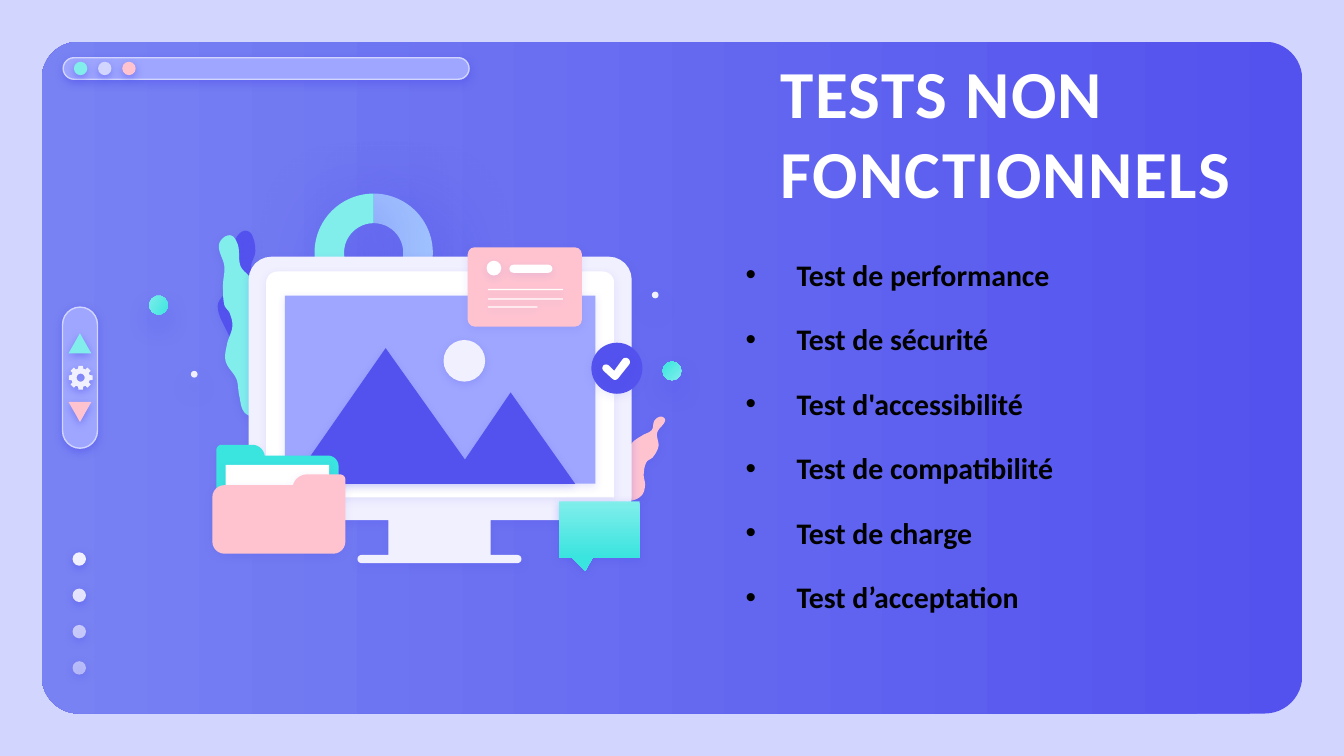
from dataclasses import dataclass
from math import cos, dist, radians, sin

from lxml.etree import SubElement
from pptx import Presentation
from pptx.dml.color import RGBColor
from pptx.enum.shapes import MSO_SHAPE as Shape
from pptx.enum.text import MSO_ANCHOR as Anchor
from pptx.oxml.ns import qn
from pptx.util import Inches, Pt


@dataclass(frozen=True)
class Theme:
    font: str = "Calibri"
    title_size: float = 36
    list_size: float = 16
    lilac: str = "D2D6FF"
    indigo: str = "5352EE"
    violet: str = "7882F3"
    periwinkle: str = "9EA6FF"
    sky: str = "A1C3FF"
    aqua: str = "81EEEB"
    teal: str = "3AE4DF"
    pink: str = "FFC3D0"
    mist: str = "F1F0FF"
    white: str = "FFFFFF"
    black: str = "000000"


# Shadows: opacity %, blur pt, distance pt, angle
def soft(opacity):
    return opacity, 4.5, 1.5, 90


FLOATING = (38, 12.4, 6.8, 90)
HALO = (67, 38.2, 9, 49)


def bezier(a, b, c, d, steps=6):
    for i in range(1, steps + 1):
        t = i / steps
        weights = (1 - t) ** 3, 3 * t * (1 - t) ** 2, 3 * t * t * (1 - t), t ** 3
        yield tuple(sum(w * p[axis] for w, p in zip(weights, (a, b, c, d))) for axis in (0, 1))


def shift(point, start, end, length):
    """Move the point by a length along the direction from start to end."""
    share = length / dist(start, end)
    return tuple(point[axis] + (end[axis] - start[axis]) * share for axis in (0, 1))


def rounded(corners):
    """Polygon whose corners are (x, y) or (x, y, radius)."""
    outline = []
    for i, (x, y, *radius) in enumerate(corners):
        corner = (x, y)
        if not radius:
            outline.append(corner)
            continue
        sides = corners[i - 1][:2], corners[(i + 1) % len(corners)][:2]
        ends = [shift(corner, corner, side, radius[0]) for side in sides]
        pulls = [shift(corner, corner, side, radius[0] * 0.45) for side in sides]
        outline += [ends[0], *bezier(ends[0], *pulls, ends[1])]
    return outline


def wavy(knots):
    """Closed smooth curve through the knots."""
    outline, count = [], len(knots)
    for i in range(count):
        a, b, c, d = (knots[(i + k) % count] for k in (-1, 0, 1, 2))
        reach = dist(b, c) / 3
        outline += bezier(b, shift(b, a, c, reach), shift(c, d, b, reach), c)
    return outline


def polar(center, radius, degrees):
    return center[0] + radius * cos(radians(degrees)), center[1] + radius * sin(radians(degrees))


def add_text(paragraph, text, *, font, size, color, bold=True, spacing=None):
    run = paragraph.add_run()
    run.text = text
    run.font.name, run.font.size, run.font.bold = font, Pt(size), bold
    run.font.color.rgb = RGBColor.from_string(color)
    if spacing:
        run._r.get_or_add_rPr().set("spc", str(round(spacing * 100)))


class Canvas:
    def __init__(self, slide, theme):
        self.slide, self.theme = slide, theme
        slide.background.fill.solid()
        slide.background.fill.fore_color.rgb = RGBColor.from_string(theme.lilac)

    def paint(self, part, fill, line=None, shadow=None, opacity=None):
        if isinstance(fill, tuple):
            *colors, angle = fill
            part.fill.gradient()
            part.fill.gradient_angle = (360 - angle) % 360
            for stop, color in zip(part.fill.gradient_stops, colors):
                stop.color.rgb = RGBColor.from_string(color)
        else:
            part.fill.solid()
            part.fill.fore_color.rgb = RGBColor.from_string(fill)
        if opacity:
            color = part._element.spPr.find(".//" + qn("a:srgbClr"))
            SubElement(color, qn("a:alpha"), val=str(opacity * 1000))
        if line:
            part.line.color.rgb = RGBColor.from_string(line)
            part.line.width = Pt(0.75)
        else:
            part.line.fill.background()
        part.shadow.inherit = False
        if shadow:
            strength, blur, distance, angle = shadow
            effects = part._element.spPr.find(qn("a:effectLst"))
            outer = SubElement(effects, qn("a:outerShdw"), blurRad=str(Pt(blur)), dist=str(Pt(distance)),
                               dir=str(angle * 60000), algn="bl", rotWithShape="0")
            color = SubElement(outer, qn("a:srgbClr"), val=self.theme.indigo)
            SubElement(color, qn("a:alpha"), val=str(strength * 1000))

    def preset(self, kind, box, fill, adjust=(), rotation=0, **style):
        part = self.slide.shapes.add_shape(kind, *map(Inches, box))
        for i, value in enumerate(adjust):
            part.adjustments[i] = value
        part.rotation = rotation
        self.paint(part, fill, **style)

    def dot(self, left, top, size, fill, **style):
        self.preset(Shape.OVAL, (left, top, size, size), fill, **style)

    def outline(self, fill, *contours, **style):
        builder = None
        for contour in contours:
            start, *rest = [(Inches(x), Inches(y)) for x, y in contour]
            if builder is None:
                builder = self.slide.shapes.build_freeform(*start)
            else:
                builder.move_to(*start)
            builder.add_line_segments(rest, close=True)
        self.paint(builder.convert_to_shape(), fill, **style)

    def frame(self, box, inset=None, anchor=Anchor.TOP):
        frame = self.slide.shapes.add_textbox(*map(Inches, box)).text_frame
        frame.word_wrap, frame.vertical_anchor = True, anchor
        if inset:
            frame.margin_left = frame.margin_right = frame.margin_top = frame.margin_bottom = Inches(inset)
        return frame

    def bullets(self, box, items):
        frame = self.frame(box)
        for i, item in enumerate(items):
            paragraph = frame.paragraphs[0] if i == 0 else frame.add_paragraph()
            props = paragraph._p.get_or_add_pPr()
            props.set("marL", str(Inches(0.38)))
            props.set("indent", str(-Inches(0.38)))
            SubElement(SubElement(props, qn("a:buClr")), qn("a:srgbClr"), val=self.theme.black)
            SubElement(props, qn("a:buFont"), typeface="Arial")
            SubElement(props, qn("a:buChar"), char="•")
            paragraph.line_spacing = 1.15
            paragraph.space_before, paragraph.space_after = Pt(5 if i else 0), Pt(7.5)
            add_text(paragraph, item, font=self.theme.font, size=self.theme.list_size, color=self.theme.black)


def draw_window(canvas, t):
    # Panel, address bar and page dots
    canvas.preset(Shape.ROUNDED_RECTANGLE, (0.31, 0.31, 9.38, 5), (t.indigo, t.violet, 180), [0.056])
    bar = dict(fill=t.periwinkle, adjust=[0.5], line=t.lilac, shadow=soft(50))
    canvas.preset(Shape.ROUNDED_RECTANGLE, (0.47, 0.43, 3.02, 0.16), **bar)
    for i, color in enumerate((t.aqua, t.lilac, t.pink)):
        canvas.dot(0.55 + 0.18 * i, 0.46, 0.1, color, shadow=soft(50))
    for i, opacity in enumerate((100, 90, 67, 54)):
        canvas.dot(0.54, 4.11 + 0.27 * i, 0.1, t.mist, opacity=opacity, shadow=soft(50))
    # Side control with arrows and gear
    canvas.preset(Shape.ROUNDED_RECTANGLE, (0.07, 2.68, 1.05, 0.26), rotation=90, **bar)
    for top, color, turn in ((2.48, t.aqua, 0), (2.99, t.pink, 180)):
        canvas.preset(Shape.ISOSCELES_TRIANGLE, (0.51, top, 0.17, 0.15), color, rotation=turn, shadow=soft(50))
    hub = (0.6, 2.81)
    teeth = [polar(hub, radius, 45 * k + turn) for k in range(8)
             for radius, turn in ((0.07, -15), (0.09, -11), (0.09, 11), (0.07, 15))]
    hole = [polar(hub, 0.03, -20 * k) for k in range(18)]
    canvas.outline(t.mist, teeth, hole, shadow=soft(52))


def draw_illustration(canvas, t):
    # Ring and leaves behind the screen
    for turn, color in ((90, t.sky), (270, t.aqua)):
        canvas.preset(Shape.BLOCK_ARC, (2.34, 1.44, 0.88, 0.88), color, [108, 0, 0.25], turn, shadow=HALO)
    leaves = (
        (t.pink, 22, [(4.92, 3.1), (4.95, 3.13), (4.89, 3.22), (4.9, 3.32), (4.86, 3.4), (4.81, 3.44),
                      (4.79, 3.53), (4.8, 3.61), (4.78, 3.68), (4.72, 3.72), (4.66, 3.72), (4.55, 3.63),
                      (4.61, 3.44), (4.66, 3.4), (4.7, 3.3), (4.78, 3.24), (4.85, 3.2), (4.87, 3.13)]),
        (t.indigo, 18, [(1.81, 1.72), (1.87, 1.74), (1.9, 1.87), (1.87, 1.99), (1.94, 2.12), (1.98, 2.17),
                        (2.01, 2.31), (1.97, 2.39), (2.02, 2.53), (2.09, 2.65), (2.05, 2.79), (2.01, 2.92),
                        (1.98, 3.03), (1.91, 3.03), (1.79, 2.94), (1.79, 2.8), (1.79, 2.7), (1.71, 2.51),
                        (1.62, 2.28), (1.7, 2.15), (1.77, 2), (1.76, 1.9), (1.75, 1.79)]),
        (t.aqua, 18, [(1.71, 1.75), (1.77, 1.82), (1.79, 1.98), (1.87, 2.08), (1.91, 2.27),
                      (1.96, 2.45), (2.04, 2.63), (2.01, 2.71), (1.98, 2.85), (2.01, 2.92), (2.02, 3.02),
                      (1.99, 3.09), (1.93, 3.11), (1.82, 3.07), (1.78, 2.94), (1.76, 2.82), (1.68, 2.69),
                      (1.69, 2.56), (1.73, 2.43), (1.71, 2.33), (1.67, 2.27), (1.66, 2.12), (1.67, 1.98),
                      (1.63, 1.82)]),
    )
    for color, strength, knots in leaves:
        canvas.outline(color, wavy(knots), shadow=soft(strength))
    # Floating bubbles
    for left, top, turn in ((1.11, 2.2, 255), (4.93, 2.69, 90)):
        canvas.dot(left, top, 0.14, (t.aqua, t.teal, 135), rotation=turn, shadow=FLOATING)
    for left, top in ((1.42, 2.76), (4.85, 2.17)):
        canvas.dot(left, top, 0.05, t.mist, shadow=FLOATING)
    # Monitor
    canvas.outline(t.mist, rounded([
        (1.85, 1.91, 0.17), (4.7, 1.91, 0.17), (4.7, 3.87, 0.17), (3.65, 3.87), (3.65, 4.13), (3.88, 4.13, 0.03),
        (3.88, 4.19, 0.03), (2.66, 4.19, 0.03), (2.66, 4.13, 0.03), (2.89, 4.13), (2.89, 3.87),
        (1.85, 3.87, 0.17)]), shadow=soft(22))
    canvas.preset(Shape.ROUND_2_SAME_RECTANGLE, (1.98, 2.02, 2.59, 1.68), t.white, [0.05, 0], shadow=soft(9))
    canvas.preset(Shape.RECTANGLE, (2.12, 2.2, 2.31, 1.4), t.periwinkle, shadow=soft(14))
    # Card with its lines
    canvas.preset(Shape.ROUNDED_RECTANGLE, (3.48, 1.84, 0.85, 0.59), t.pink, [0.09], shadow=soft(11))
    canvas.dot(3.62, 1.94, 0.11, t.white, shadow=soft(11))
    canvas.preset(Shape.ROUNDED_RECTANGLE, (3.79, 1.97, 0.32, 0.06), t.white, [0.5], shadow=soft(11))
    for top, width in ((2.15, 0.56), (2.22, 0.56), (2.28, 0.37)):
        canvas.preset(Shape.RECTANGLE, (3.63, top, width, 0.01), t.white, shadow=soft(11))
    # Check badge
    canvas.dot(4.4, 2.55, 0.38, t.indigo, shadow=soft(10))
    canvas.outline(t.white, rounded([
        (4.57, 2.76), (4.65, 2.65, 0.03), (4.7, 2.69, 0.03), (4.58, 2.84, 0.03), (4.47, 2.74, 0.03),
        (4.51, 2.7, 0.03)]), shadow=soft(10))
    # Mountains and sun
    canvas.outline(t.indigo, [(2.87, 2.59), (2.25, 3.48), (2.25, 3.6), (4.28, 3.6), (3.8, 2.92), (3.46, 3.42)],
                   shadow=soft(18))
    canvas.dot(3.3, 2.53, 0.31, t.mist, shadow=soft(18))
    # Folder and speech bubble
    canvas.outline(t.teal, rounded([
        (1.61, 3.31, 0.04), (1.95, 3.31, 0.07), (1.97, 3.39), (2.52, 3.39, 0.08), (2.52, 4.05, 0.08),
        (1.61, 4.05, 0.08)]), shadow=soft(10))
    canvas.preset(Shape.RECTANGLE, (1.68, 3.46, 0.77, 0.64), t.white, shadow=soft(10))
    canvas.outline(t.pink, rounded([
        (2.57, 3.53, 0.04), (2.57, 4.12, 0.09), (1.58, 4.12, 0.09), (1.58, 3.61, 0.09), (2.18, 3.61),
        (2.2, 3.53, 0.08)]), shadow=soft(10))
    canvas.preset(Shape.ROUNDED_RECTANGULAR_CALLOUT, (4.16, 3.73, 0.6, 0.42), (t.aqua, t.teal, 90),
                  [-0.174, 0.731, 0], shadow=soft(31))


def main():
    deck, theme = Presentation(), Theme()
    deck.slide_width, deck.slide_height = Inches(10), Inches(10 * 9 / 16)
    canvas = Canvas(deck.slides.add_slide(deck.slide_layouts[6]), theme)
    draw_window(canvas, theme)
    # Title
    title = canvas.frame((5.71, 0.36, 3.64, 1.24), 0.1, Anchor.MIDDLE)
    add_text(title.paragraphs[0], "TESTS NON FONCTIONNELS", font=theme.font, size=theme.title_size,
             color=theme.white, spacing=0.8)
    draw_illustration(canvas, theme)
    # Kinds of test
    canvas.bullets((5.45, 1.82, 4.04, 3.24), (
        "Test de performance", "Test de sécurité", "Test d'accessibilité", "Test de compatibilité",
        "Test de charge", "Test d’acceptation"))
    deck.save("out.pptx")


if __name__ == "__main__":
    main()
